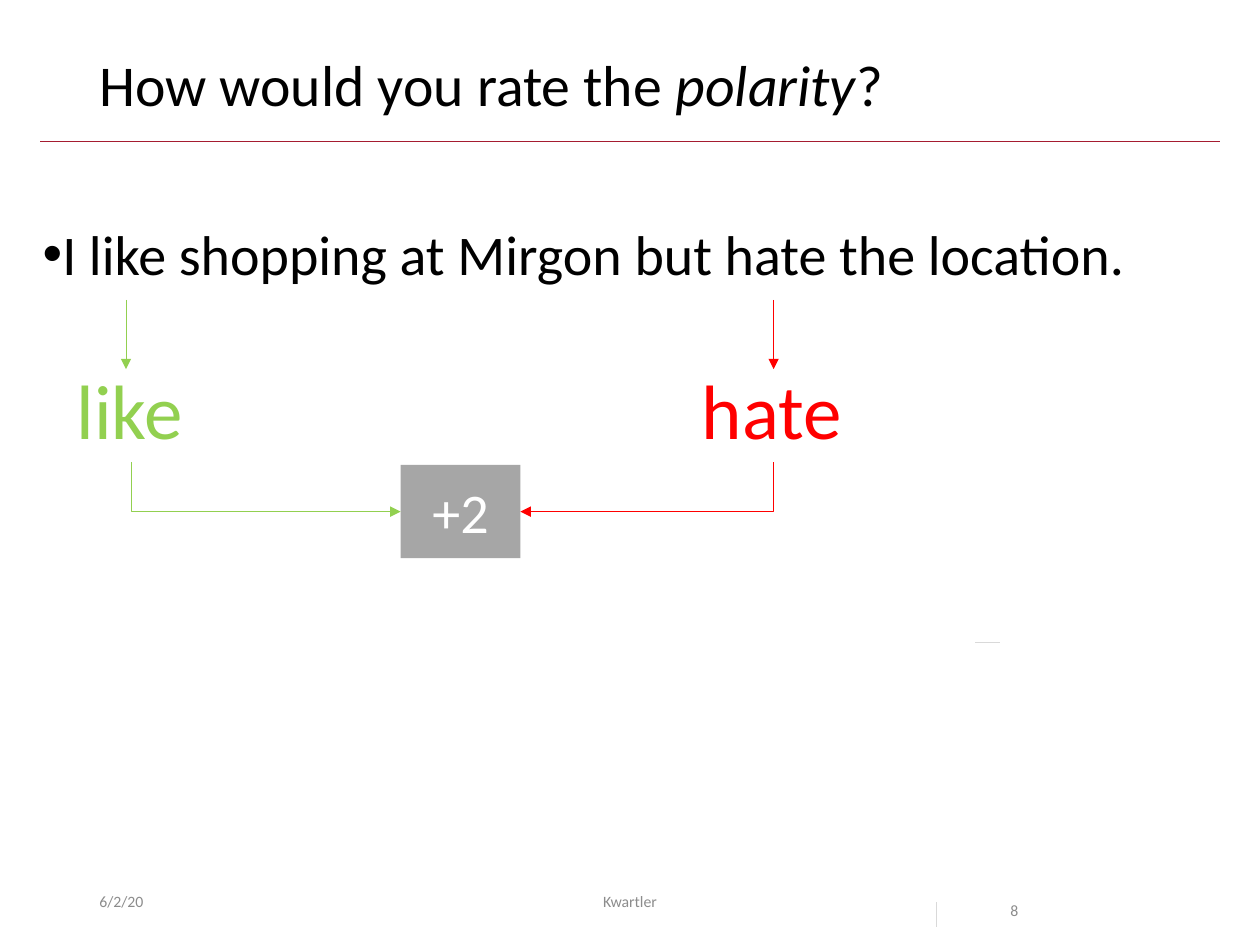
from lxml import etree
from pptx import Presentation
from pptx.dml.color import RGBColor
from pptx.enum.shapes import MSO_CONNECTOR, MSO_SHAPE
from pptx.enum.text import MSO_ANCHOR, PP_ALIGN
from pptx.oxml.ns import qn
from pptx.util import Inches, Pt

STRAIGHT, ELBOW = MSO_CONNECTOR.STRAIGHT, MSO_CONNECTOR.ELBOW
TOP, MIDDLE = MSO_ANCHOR.TOP, MSO_ANCHOR.MIDDLE
LEFT, CENTER = PP_ALIGN.LEFT, PP_ALIGN.CENTER
GREEN, RED, GREY, PALE = "92D050", "FF0000", "8C8C8C", "D9D9D9"


def write(shape, text, size, color, align=LEFT, anchor=TOP, wrap=True):
    """Fill a shape with one styled paragraph and return that paragraph."""
    frame = shape.text_frame
    frame.text = text
    frame.word_wrap = wrap
    frame.vertical_anchor = anchor
    para = frame.paragraphs[0]
    para.alignment = align
    font = para.runs[0].font
    font.name, font.size = "Calibri", Pt(size)
    font.color.rgb = RGBColor.from_string(color)
    return para


def draw(kind, start, end, color, arrow=False):
    """Add a thin connector, with an arrowhead at its end if asked."""
    line = shapes.add_connector(kind, *map(Inches, start + end))
    line.line.color.rgb = RGBColor.from_string(color)
    line.line.width = Pt(0.5)
    props = line._element.spPr
    if arrow:
        etree.SubElement(props.find(qn("a:ln")), qn("a:tailEnd"), type="triangle")
    etree.SubElement(props, qn("a:effectLst"))
    return line


deck = Presentation()
deck.slide_width, deck.slide_height = Inches(10), Inches(7.5)
shapes = deck.slides.add_slide(deck.slide_layouts[6]).shapes

# Title and rule
draw(STRAIGHT, (0.32, 1.12), (9.68, 1.12), "A51C30")
title = shapes.add_textbox(*map(Inches, (0.69, 0.4, 8.62, 0.65)))
para = write(title, "How would you rate the ", 33, "000000")
para.line_spacing = 0.9
for text, slant in (("polarity", True), ("?", False)):
    run = para.add_run()
    run.text = text
    run.font.name, run.font.size, run.font.italic = "Calibri", Pt(33), slant
    run.font.color.rgb = RGBColor.from_string("000000")

# Footer
for text, left, width, align, anchor, space in (
    ("6/2/20", 0.69, 2.25, LEFT, MIDDLE, 1),
    ("Kwartler", 3.31, 3.38, CENTER, MIDDLE, 1),
    ("8", 7.92, 0.94, LEFT, TOP, 2),
):
    box = shapes.add_textbox(*map(Inches, (left, 6.95, width, 0.4)))
    write(box, text, 9, GREY, align, anchor).line_spacing = space

# Sentence
box = shapes.add_textbox(*map(Inches, (0.14, 1.69, 9.69, 0.64)))
para = write(box, "I like shopping at Mirgon but hate the location.", 32, "000000")
props = para._p.get_or_add_pPr()
props.set("marL", str(Inches(0.19)))
props.set("indent", str(Inches(-0.09)))
etree.SubElement(props, qn("a:buFont"), typeface="Arial")
etree.SubElement(props, qn("a:buChar"), char="•")

# Score
left, top, width, height = 3.18, 3.69, 0.95, 0.74
score = shapes.add_shape(MSO_SHAPE.RECTANGLE, *map(Inches, (left, top, width, height)))
score.shadow.inherit = False
score.fill.solid()
score.fill.fore_color.rgb = RGBColor.from_string("A6A6A6")
score.line.fill.background()
write(score, "+2", 32, "FFFFFF", CENTER, MIDDLE)

# Rated words, each with an arrow in and a bent arrow to the score
base, mid = 3.67, top + height / 2
for word, color, edge, wide, stem, bend, goal, side, turn in (
    ("like", GREEN, 0.51, 1.05, 1.0, 1.04, left, 1, 270),
    ("hate", RED, 5.47, 1.32, 6.14, 6.14, left + width, -1, 90),
):
    draw(STRAIGHT, (stem, 2.38), (stem, 2.93), color, True)
    box = shapes.add_textbox(*map(Inches, (edge, 2.83, wide, 0.84)))
    write(box, word, 44, color, wrap=False)
    # The one-corner elbow is laid out upright, then turned about its centre
    x, y = (bend + goal) / 2, (base + mid) / 2
    dx, dy = side * (mid - base) / 2, abs(goal - bend) / 2
    elbow = draw(ELBOW, (x + dx, y - dy), (x - dx, y + dy), color, True)
    props = elbow._element.spPr
    props.find(qn("a:prstGeom")).set("prst", "bentConnector2")
    props.find(qn("a:xfrm")).set("rot", str(turn * 60000))

# Stray marks
draw(STRAIGHT, (7.43, 7.16), (7.43, 7.36), PALE)
draw(STRAIGHT, (7.74, 5.1), (7.94, 5.1), PALE)

deck.save("out.pptx")
